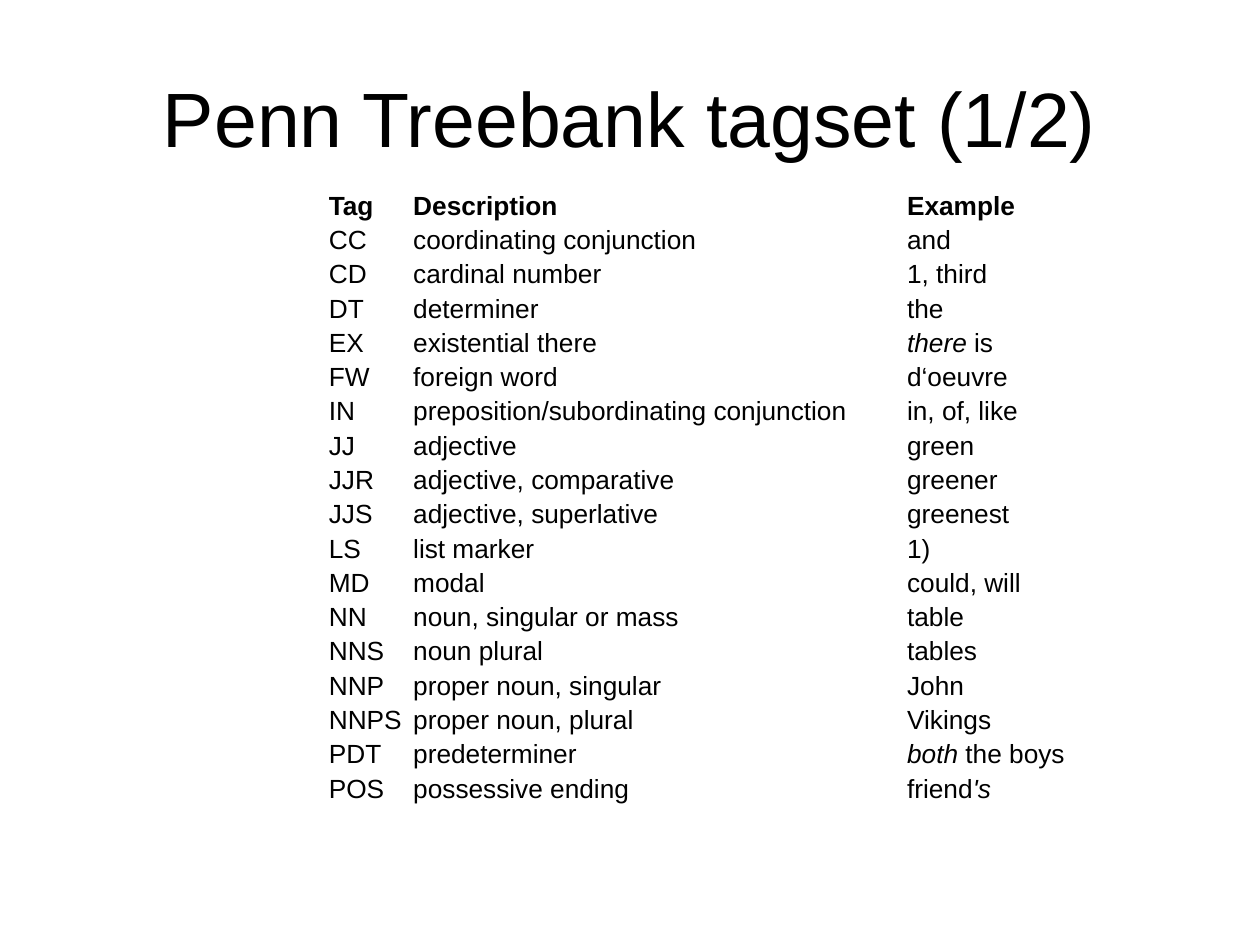
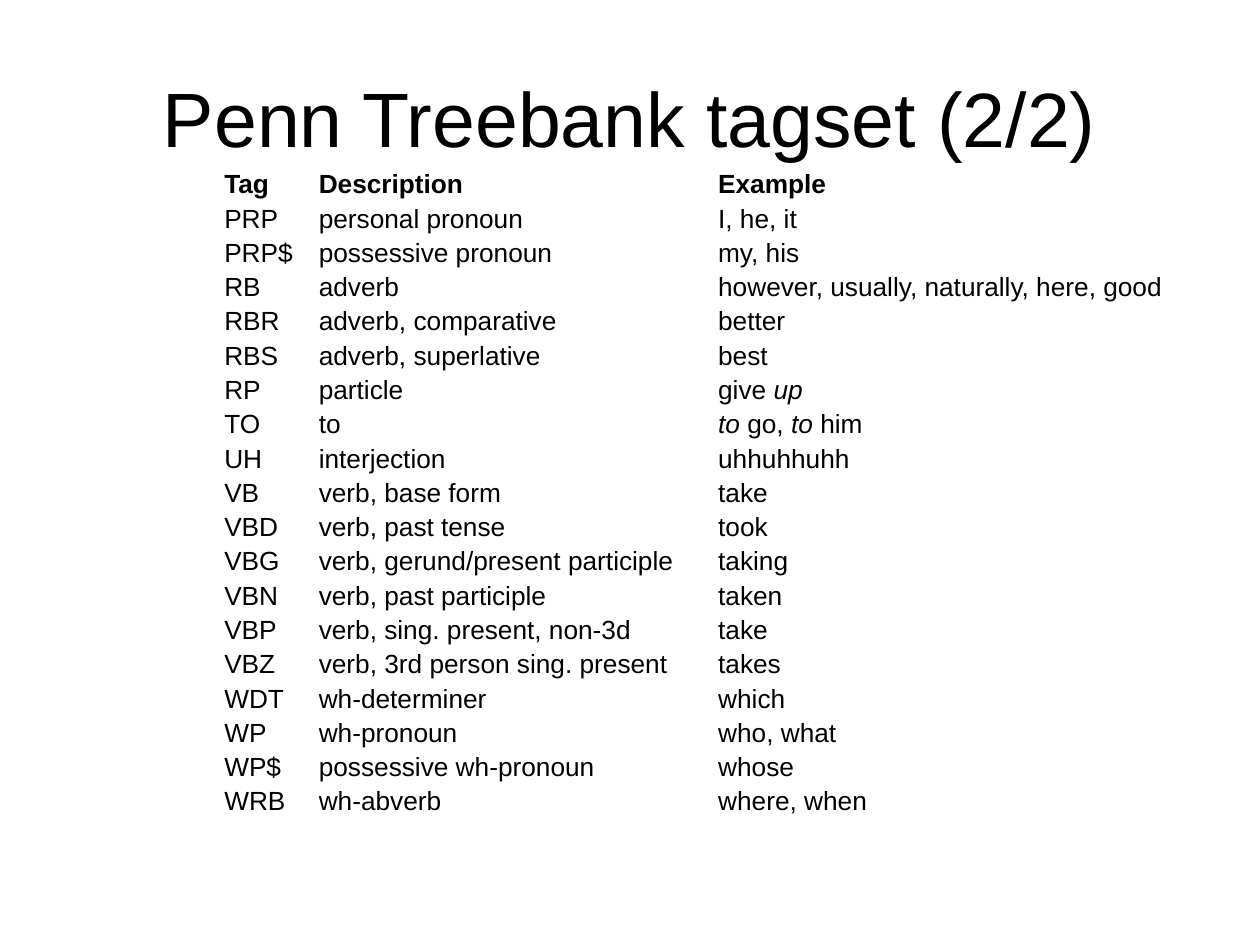
from pptx import Presentation
from pptx.dml.color import RGBColor
from pptx.enum.text import MSO_ANCHOR, PP_ALIGN
from pptx.util import Inches, Pt

BLACK = RGBColor(0x00, 0x00, 0x00)
FONT = "Arial"
TITLE_BOX = (0.5, 0.3, 9, 1.25)
ROW_HEIGHT = 4.9 / 18
HEADER = ("Tag", "Description", "Example")

FIRST_TAGS = [
    ("CC", "coordinating conjunction", "and"),
    ("CD", "cardinal number", "1, third"),
    ("DT", "determiner", "the"),
    ("EX", "existential there", "*there* is"),
    ("FW", "foreign word", "d‘oeuvre"),
    ("IN", "preposition/subordinating conjunction", "in, of, like"),
    ("JJ", "adjective", "green"),
    ("JJR", "adjective, comparative", "greener"),
    ("JJS", "adjective, superlative", "greenest"),
    ("LS", "list marker", "1)"),
    ("MD", "modal", "could, will"),
    ("NN", "noun, singular or mass", "table"),
    ("NNS", "noun plural", "tables"),
    ("NNP", "proper noun, singular", "John"),
    ("NNPS", "proper noun, plural", "Vikings"),
    ("PDT", "predeterminer", "*both* the boys"),
    ("POS", "possessive ending", "friend*'s*"),
]

SECOND_TAGS = [
    ("PRP", "personal pronoun", "I, he, it"),
    ("PRP$", "possessive pronoun", "my, his"),
    ("RB", "adverb", "however, usually, naturally, here, good"),
    ("RBR", "adverb, comparative", "better"),
    ("RBS", "adverb, superlative", "best"),
    ("RP", "particle", "give *up*"),
    ("TO", "to", "*to* go, *to* him"),
    ("UH", "interjection", "uhhuhhuhh"),
    ("VB", "verb, base form", "take"),
    ("VBD", "verb, past tense", "took"),
    ("VBG", "verb, gerund/present participle", "taking"),
    ("VBN", "verb, past participle", "taken"),
    ("VBP", "verb, sing. present, non-3d", "take"),
    ("VBZ", "verb, 3rd person sing. present", "takes"),
    ("WDT", "wh-determiner", "which"),
    ("WP", "wh-pronoun", "who, what"),
    ("WP$", "possessive wh-pronoun", "whose"),
    ("WRB", "wh-abverb", "where, when"),
]


def write_text(frame, text, size=15, bold=False, align=PP_ALIGN.LEFT):
    """Write one paragraph, setting the parts between asterisks in italics."""
    para = frame.paragraphs[0]
    para.alignment = align
    for index, part in enumerate(text.split("*")):
        if part:
            span = para.add_run()
            span.text = part
            span.font.name = FONT
            span.font.size = Pt(size)
            span.font.bold = bold
            span.font.italic = index % 2 == 1
            span.font.color.rgb = BLACK


def add_title(page, box, text):
    """Place the centred title in its box."""
    frame = page.shapes.add_textbox(*map(Inches, box)).text_frame
    frame.word_wrap = True
    frame.vertical_anchor = MSO_ANCHOR.MIDDLE
    write_text(frame, text, size=44, align=PP_ALIGN.CENTER)


def add_tag_table(page, left, top, widths, tags):
    """Place a plain table of tags under a bold header row."""
    rows = [HEADER, *tags]
    table = page.shapes.add_table(
        len(rows), len(widths), Inches(left), Inches(top),
        Inches(sum(widths)), Inches(ROW_HEIGHT * len(rows))).table
    table.first_row = table.horz_banding = False
    for column, width in zip(table.columns, widths):
        column.width = Inches(width)
    for row_index, (row, texts) in enumerate(zip(table.rows, rows)):
        row.height = Inches(ROW_HEIGHT)
        for cell, text in zip(row.cells, texts):
            cell.fill.background()
            cell.vertical_anchor = MSO_ANCHOR.MIDDLE
            cell.margin_left = cell.margin_right = Inches(0.03)
            cell.margin_top = cell.margin_bottom = Inches(0.01)
            write_text(cell.text_frame, text, bold=row_index == 0)


def add_tagset_page(deck, title, left, top, widths, tags):
    """Add a page with a title and a tag table."""
    page = deck.slides.add_slide(deck.slide_layouts[6])
    add_tag_table(page, left, top, widths, tags)
    add_title(page, TITLE_BOX, title)


def build_deck():
    """Build and save the tagset pages."""
    deck = Presentation()
    deck.slide_width = Inches(10)
    deck.slide_height = Inches(7.5)
    add_tagset_page(deck, "Penn Treebank tagset (1/2)", 2.58, 1.5,
                    (0.67, 3.92, 2.08), FIRST_TAGS)
    add_tagset_page(deck, "Penn Treebank tagset (2/2)", 1.75, 1.33,
                    (0.75, 3.17, 3.75), SECOND_TAGS)
    deck.save("out.pptx")


build_deck()
